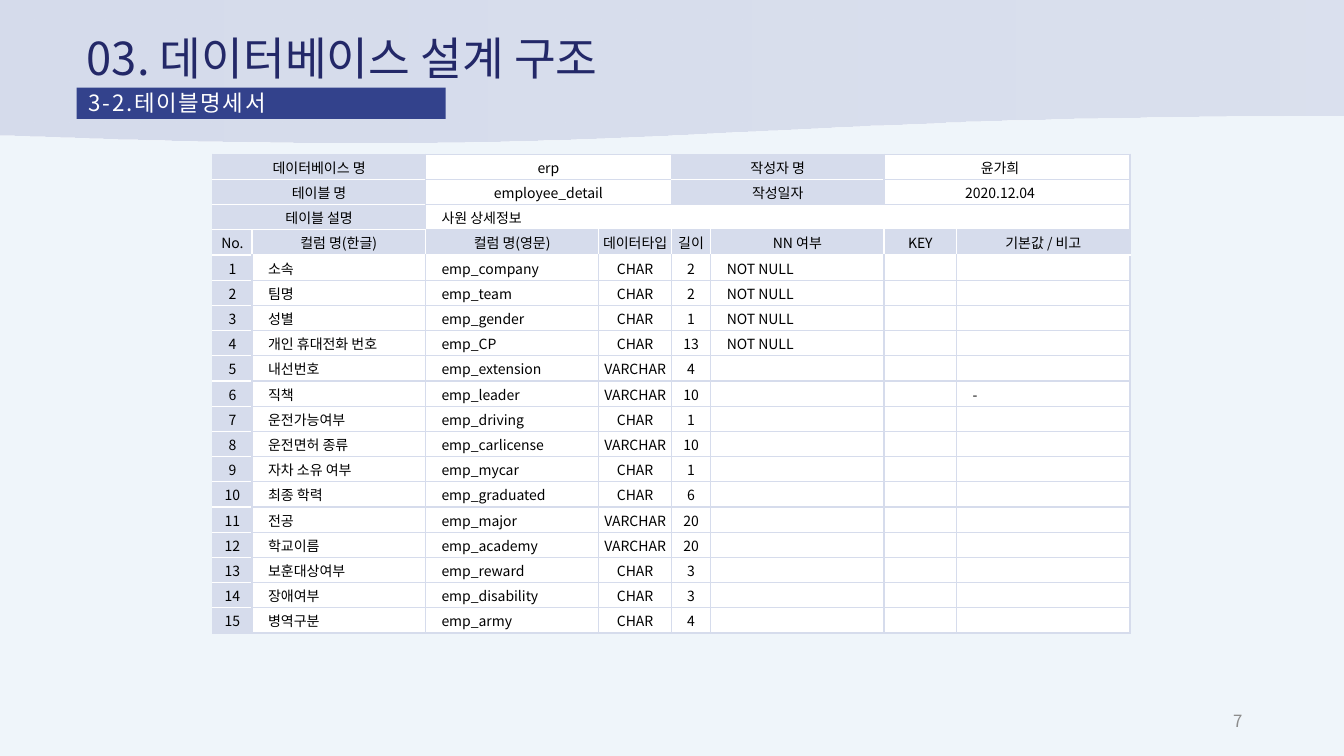
from typing import NamedTuple

from lxml.etree import SubElement
from pptx import Presentation
from pptx.dml.color import RGBColor
from pptx.enum.shapes import MSO_SHAPE
from pptx.enum.text import MSO_ANCHOR, MSO_AUTO_SIZE, PP_ALIGN
from pptx.oxml.ns import qn
from pptx.util import Inches, Pt

FONT = "Noto Sans CJK KR"
PALE, SHADE, WHITE = "EFF5FA", "D6DCEC", "FFFFFF"
NAVY, BLUE, GRAY, BLACK = "232868", "33428C", "8C8C8C", "000000"
WIDTHS = (0.39, 1.72, 1.72, 0.72, 0.39, 1.72, 0.72, 1.72)
ROW_H = 0.25


class Field(NamedTuple):
    label: str
    name: str
    kind: str
    size: int
    null: str = ""
    note: str = ""


class Box(NamedTuple):
    row: int
    col: int
    text: str
    span: int = 1
    shade: bool = False
    left: bool = False


FIELDS = (
    Field("소속", "emp_company", "CHAR", 2, "NOT NULL"),
    Field("팀명", "emp_team", "CHAR", 2, "NOT NULL"),
    Field("성별", "emp_gender", "CHAR", 1, "NOT NULL"),
    Field("개인 휴대전화 번호", "emp_CP", "CHAR", 13, "NOT NULL"),
    Field("내선번호", "emp_extension", "VARCHAR", 4),
    Field("직책", "emp_leader", "VARCHAR", 10, note="-"),
    Field("운전가능여부", "emp_driving", "CHAR", 1),
    Field("운전면허 종류", "emp_carlicense", "VARCHAR", 10),
    Field("자차 소유 여부", "emp_mycar", "CHAR", 1),
    Field("최종 학력", "emp_graduated", "CHAR", 6),
    Field("전공", "emp_major", "VARCHAR", 20),
    Field("학교이름", "emp_academy", "VARCHAR", 20),
    Field("보훈대상여부", "emp_reward", "CHAR", 3),
    Field("장애여부", "emp_disability", "CHAR", 3),
    Field("병역구분", "emp_army", "CHAR", 4),
)
INFO = (
    ("데이터베이스 명", "erp", "작성자 명", "윤가희　"),
    ("테이블 명", "employee_detail", "작성일자", "2020.12.04　"),
)
HEADS = ("No.", "컬럼 명(한글)", "컬럼 명(영문)", "데이터타입", "길이",
         "NN 여부", "KEY", "기본값 / 비고")
HEAD = len(INFO) + 1


def rgb(code: str) -> RGBColor:
    return RGBColor.from_string(code)


def place(shape, x: float, y: float, w: float, h: float) -> None:
    shape.left, shape.top = Inches(x), Inches(y)
    shape.width, shape.height = Inches(w), Inches(h)


def write(par, text: str, size: float, color: str, align=PP_ALIGN.LEFT):
    par.alignment = align
    run = par.add_run()
    run.text = text
    run.font.size, run.font.name = Pt(size), FONT
    run.font.color.rgb = rgb(color)
    SubElement(run.font._element, qn("a:ea"), typeface=FONT)
    return run


def panel(slide, kind, x: float, y: float, w: float, h: float):
    shape = slide.shapes.add_shape(kind, Inches(x), Inches(y), Inches(w), Inches(h))
    shape.shadow.inherit = False
    shape.line.fill.background()
    return shape


def fade(shape, share: int) -> None:
    """Set the opacity, in percent, of the last colour in the fill."""
    last = list(shape._element.spPr.iter(qn("a:srgbClr")))[-1]
    SubElement(last, qn("a:alpha"), val=str(share * 1000))


def edge(cell, side: str, color: str) -> None:
    line = SubElement(cell._tc.get_or_add_tcPr(), qn(f"a:ln{side}"), w=str(Pt(1)))
    fill = SubElement(line, qn("a:solidFill"))
    SubElement(fill, qn("a:srgbClr"), val=color)


def boxes() -> list[Box]:
    out = []
    for row, texts in enumerate(INFO):
        for i, text in enumerate(texts):
            out.append(Box(row, 2 * i, text, 2, i % 2 == 0))
    out.append(Box(HEAD - 1, 0, "테이블 설명", 2, True))
    out.append(Box(HEAD - 1, 2, "사원 상세정보", 6, left=True))
    out += [Box(HEAD, col, text, shade=True) for col, text in enumerate(HEADS)]
    for num, item in enumerate(FIELDS, 1):
        texts = (num, item.label, item.name, item.kind, item.size, item.null, "", item.note)
        for col, text in enumerate(texts):
            out.append(Box(HEAD + num, col, str(text), 1, col == 0, col in (1, 2, 5, 7)))
    return out


def draw_box(table, box: Box, dark: set) -> None:
    row, col, end = box.row, box.col, box.col + box.span
    near = {"L": (row, col - 1), "R": (row, end), "T": (row - 1, col), "B": (row + 1, col)}
    rim = {"T": row == HEAD + 1, "B": row == HEAD}
    cells = [table.cell(row, i) for i in range(col, end)]
    for cell in cells:
        # White rules part shaded cells and close the heading row
        for side, spot in near.items():
            white = box.shade and spot in dark or rim.get(side, False)
            edge(cell, side, WHITE if white else SHADE)
        cell.fill.solid()
        cell.fill.fore_color.rgb = rgb(SHADE if box.shade else WHITE)
        cell.vertical_anchor = MSO_ANCHOR.MIDDLE
        cell.margin_left = Inches(0.16 if box.left else 0.01)
        cell.margin_right = cell.margin_top = Inches(0.01)
        cell.margin_bottom = 0
    if box.span > 1:
        cells[0].merge(cells[-1])
    par = cells[0].text_frame.paragraphs[0]
    if box.text:
        write(par, box.text, 10, BLACK, PP_ALIGN.LEFT if box.left else PP_ALIGN.CENTER)
    else:
        SubElement(par._p, qn("a:endParaRPr"), sz="1000")


def draw_table(slide) -> None:
    rows = HEAD + 1 + len(FIELDS)
    table = slide.shapes.add_table(rows, len(WIDTHS), Inches(2.11), Inches(1.53),
                                   Inches(sum(WIDTHS)), Inches(rows * ROW_H)).table
    table.first_row = table.horz_banding = False
    for col, width in zip(table.columns, WIDTHS):
        col.width = Inches(width)
    for row in table.rows:
        row.height = Inches(ROW_H)
    grid = boxes()
    dark = {(b.row, b.col + i) for b in grid if b.shade for i in range(b.span)}
    for box in grid:
        draw_box(table, box, dark)


def main() -> None:
    deck = Presentation()
    deck.slide_width, deck.slide_height = Inches(13.33), Inches(7.5)
    slide = deck.slides.add_slide(deck.slide_layouts[1])
    slide.background.fill.solid()
    slide.background.fill.fore_color.rgb = rgb(PALE)

    # Backdrop
    wave = panel(slide, MSO_SHAPE.FLOWCHART_DOCUMENT, 0, 0, 13.33, 1.43)
    wave.fill.gradient()
    wave.fill.gradient_angle = 0
    for stop in wave.fill.gradient_stops:
        stop.color.rgb = rgb(SHADE)
    fade(wave, 80)
    patch = panel(slide, MSO_SHAPE.RECTANGLE, 0, 6.73, 3, 0.77)
    patch.fill.solid()
    patch.fill.fore_color.rgb = rgb(PALE)
    fade(patch, 64)

    # Page number
    page = slide.shapes.add_textbox(Inches(9.42), Inches(6.95), Inches(3), Inches(0.4))
    page.text_frame.word_wrap = True
    page.text_frame.vertical_anchor = MSO_ANCHOR.MIDDLE
    write(page.text_frame.paragraphs[0], "7", 12, GRAY, PP_ALIGN.RIGHT)

    # Title and subtitle, in front of the backdrop
    title, body = slide.shapes.title, slide.placeholders[1]
    for shape in (title, body):
        slide.shapes._spTree.append(shape._element)
        shape.text_frame.auto_size = MSO_AUTO_SIZE.NONE
    place(title, 0.76, 0.28, 8.55, 0.58)
    title.text_frame.vertical_anchor = MSO_ANCHOR.MIDDLE
    write(title.text_frame.paragraphs[0], "03. 데이터베이스 설계 구조", 32.4, NAVY)

    place(body, 0.76, 0.87, 3.66, 0.31)
    body.fill.solid()
    body.fill.fore_color.rgb = rgb(BLUE)
    frame = body.text_frame
    frame.vertical_anchor = MSO_ANCHOR.TOP
    frame.margin_left = frame.margin_right = Inches(0.12)
    frame.margin_top, frame.margin_bottom = Inches(0.04), Inches(0.05)
    par = frame.paragraphs[0]
    props = par._p.get_or_add_pPr()
    props.set("marL", "0")
    props.set("indent", "0")
    SubElement(props, qn("a:buNone"))
    par.line_spacing, par.space_before = 0.9, Pt(0)
    run = write(par, "3-2.테이블명세서", 16, WHITE, PP_ALIGN.JUSTIFY)
    run.font._element.set("spc", "120")

    draw_table(slide)
    deck.save("out.pptx")


if __name__ == "__main__":
    main()
